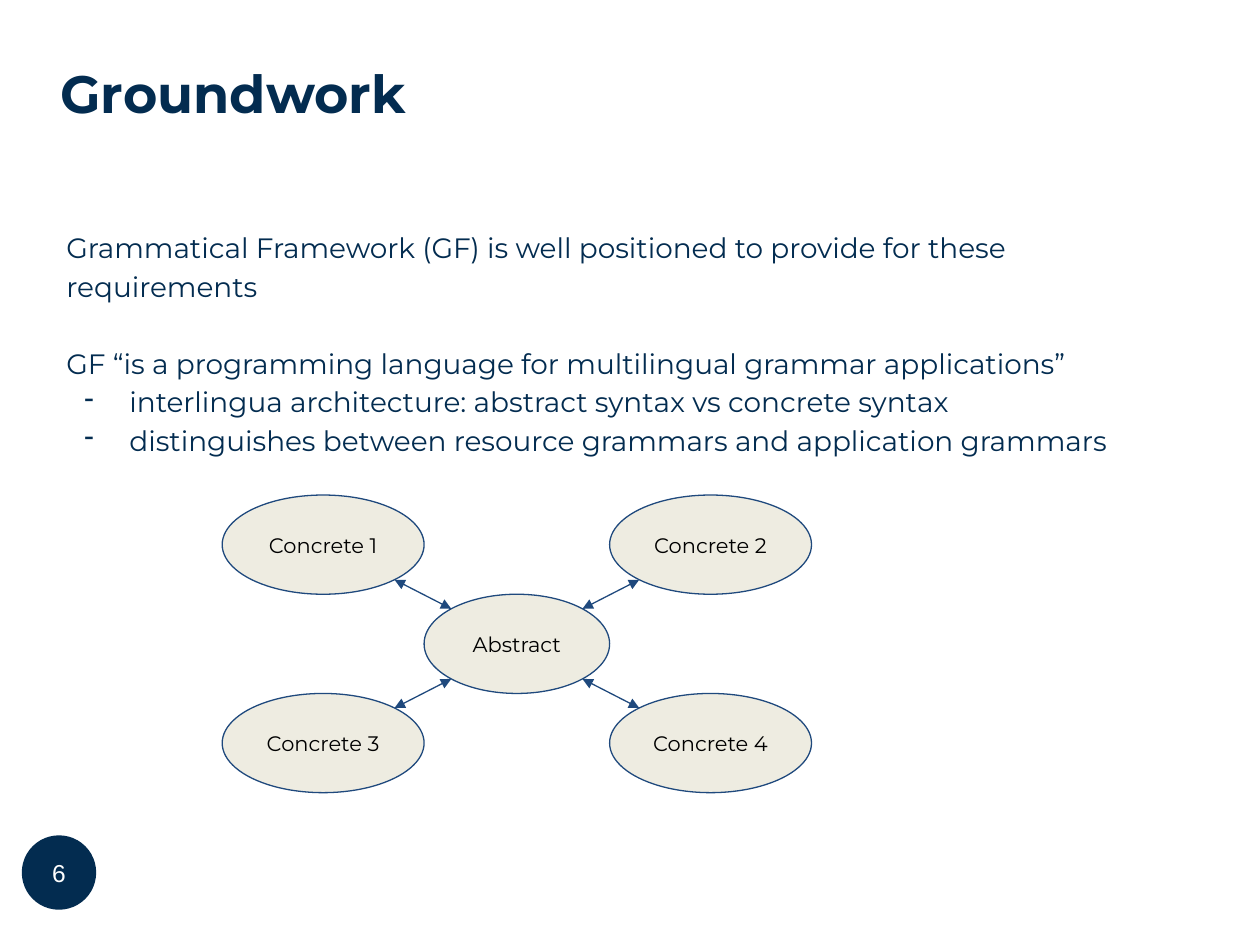
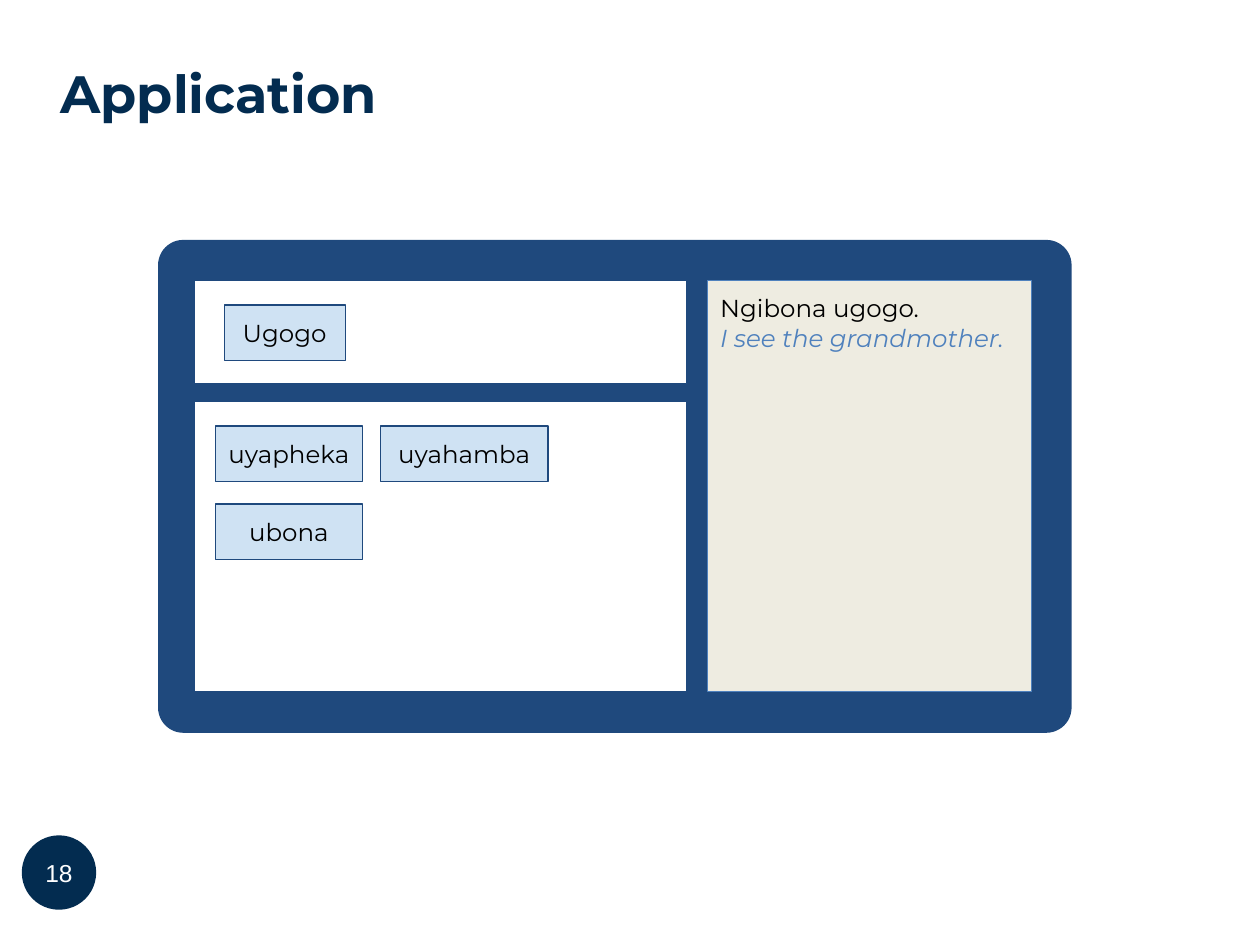
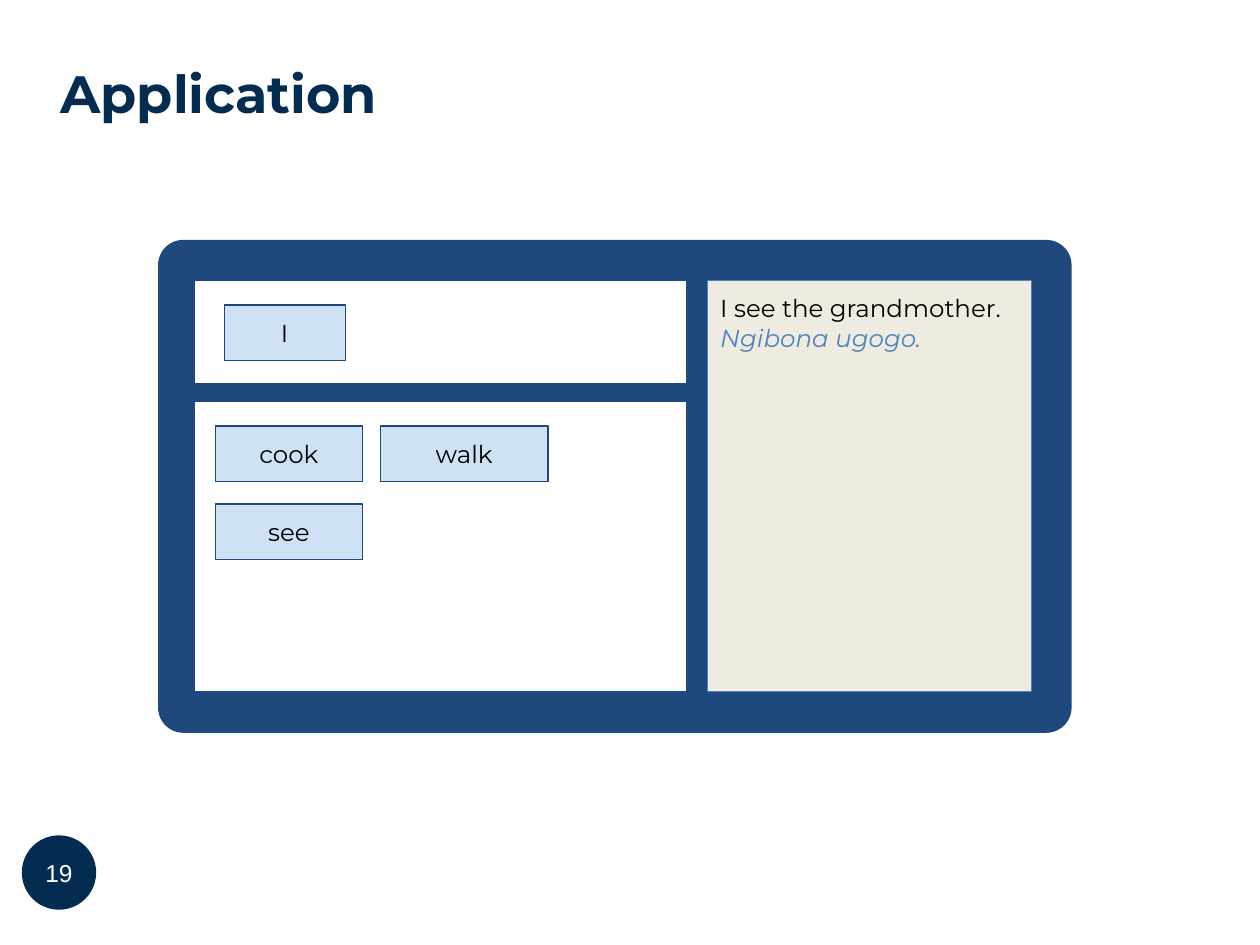
from math import sqrt

from lxml import etree
from pptx import Presentation
from pptx import util as u
from pptx.dml.color import RGBColor
from pptx.enum import shapes, text
from pptx.oxml.ns import qn

NAVY = RGBColor(0x03, 0x2C, 0x50)
BLUE = RGBColor(0x1F, 0x49, 0x7D)
ACCENT = RGBColor(0x4F, 0x81, 0xBD)
PALE_BLUE = RGBColor(0xCF, 0xE2, 0xF3)
CREAM = RGBColor(0xEE, 0xEC, 0xE1)
WHITE = RGBColor(0xFF, 0xFF, 0xFF)
BLACK = RGBColor(0, 0, 0)

OVAL = shapes.MSO_SHAPE.OVAL
RECTANGLE = shapes.MSO_SHAPE.RECTANGLE
CENTER = text.PP_ALIGN.CENTER
MIDDLE = text.MSO_ANCHOR.MIDDLE


def write(frame, words, size=14, font="Montserrat", color=BLACK, bold=False, italic=False,
          align=text.PP_ALIGN.LEFT, spacing=None, before=None, bullet=None):
    """Add one formatted paragraph, using the first one while it is empty."""
    para = frame.add_paragraph() if frame.text else frame.paragraphs[0]
    para.alignment = align
    if spacing:
        para.line_spacing = spacing
    if before:
        para.space_before = u.Pt(before)
    if bullet:
        props = para._p.get_or_add_pPr()
        props.set("marL", str(u.Cm(1.27)))
        props.set("indent", str(u.Cm(-0.91)))
        tint = etree.SubElement(props, qn("a:buClr"))
        etree.SubElement(tint, qn("a:srgbClr"), val=str(color))
        etree.SubElement(props, qn("a:buChar"), char=bullet)
    span = para.add_run()
    span.text = words
    span.font.name = font
    span.font.size = u.Pt(size)
    span.font.bold = bold
    span.font.italic = italic
    span.font.color.rgb = color


class Builder:
    """Holds the deck style and the current page; all lengths are in cm."""

    line_width = u.Pt(0.75)

    def __init__(self):
        self.deck = Presentation()
        self.deck.slide_width = u.Cm(25.4)
        self.deck.slide_height = u.Cm(19.05)
        self.page = None

    def start_page(self, title, number):
        self.page = self.deck.slides.add_slide(self.deck.slide_layouts[6])
        badge = self.shape(OVAL, 0.44, 16.84, 1.5, 1.5, NAVY, line=None, inset=(0.2, 0))
        write(badge, str(number), font="Arial", color=WHITE, align=CENTER)
        heading = self.text_box(0.97, 0.53, 22.86, 2.69, anchor=MIDDLE)
        write(heading, title, size=30, color=NAVY, bold=True)

    def set_frame(self, frame, anchor, inset):
        frame.word_wrap = True
        frame.vertical_anchor = anchor
        frame.margin_left = frame.margin_right = u.Cm(inset[0])
        frame.margin_top = frame.margin_bottom = u.Cm(inset[1])
        return frame

    def text_box(self, left, top, width, height, anchor=text.MSO_ANCHOR.TOP):
        box = self.page.shapes.add_textbox(u.Cm(left), u.Cm(top), u.Cm(width), u.Cm(height))
        return self.set_frame(box.text_frame, anchor, (0.25, 0.13))

    def shape(self, kind, left, top, width, height, fill, line=BLUE, anchor=MIDDLE,
              inset=(0.25, 0.25), corner=None):
        box = self.page.shapes.add_shape(kind, u.Cm(left), u.Cm(top), u.Cm(width), u.Cm(height))
        box.shadow.inherit = False
        box.fill.solid()
        box.fill.fore_color.rgb = fill
        if line is None:
            box.line.fill.background()
        else:
            box.line.color.rgb = line
            box.line.width = self.line_width
        if corner is not None:
            box.adjustments[0] = corner
        return self.set_frame(box.text_frame, anchor, inset)

    def label(self, kind, words, left, top, width, height, fill, size=14):
        frame = self.shape(kind, left, top, width, height, fill)
        write(frame, words, size=size, align=CENTER)

    def double_arrow(self, start, end):
        arrow = self.page.shapes.add_connector(
            shapes.MSO_CONNECTOR.STRAIGHT, *(u.Cm(value) for value in start + end))
        arrow.line.color.rgb = BLUE
        arrow.line.width = self.line_width
        for tag in ("a:headEnd", "a:tailEnd"):
            etree.SubElement(arrow.line._get_or_add_ln(), qn(tag), type="triangle")
        etree.SubElement(arrow._element.spPr, qn("a:effectLst"))


def groundwork(build):
    build.start_page("Groundwork", 6)
    body = build.text_box(1.09, 4.42, 23.14, 11.56)
    style = dict(size=16, color=NAVY, spacing=1.15)
    write(body, "Grammatical Framework (GF) is well positioned to provide for these requirements",
          **style)
    write(body, "GF “is a programming language for multilingual grammar applications”",
          before=22, **style)
    for point in ("interlingua architecture: abstract syntax vs concrete syntax",
                  "distinguishes between resource grammars and application grammars"):
        write(body, point, bullet="-", **style)

    # Abstract node in the middle, one concrete node off each corner
    middle_x, middle_y = 10.42, 12.98
    abstract_width, concrete_width, height = 3.74, 4.07, 2
    build.label(OVAL, "Abstract", middle_x - abstract_width / 2, middle_y - height / 2,
                abstract_width, height, CREAM, size=12)
    diagonal = sqrt(0.5) / 2
    corners = [(-1, -1), (1, -1), (-1, 1), (1, 1)]
    for number, (side_x, side_y) in enumerate(corners, 1):
        x = middle_x + side_x * (abstract_width + concrete_width) / 2
        y = middle_y + side_y * height
        build.label(OVAL, f"Concrete {number}", x - concrete_width / 2, y - height / 2,
                    concrete_width, height, CREAM, size=12)
        build.double_arrow(
            (middle_x + side_x * abstract_width * diagonal, middle_y + side_y * height * diagonal),
            (x - side_x * concrete_width * diagonal, y - side_y * height * diagonal))


def application(build, number, chosen, choices, sentence, translation):
    build.start_page("Application", number)
    # Screen with its two work areas
    build.shape(shapes.MSO_SHAPE.ROUNDED_RECTANGLE, 3.2, 4.85, 18.39, 9.91, BLUE, corner=0.05)
    for top, height in ((5.66, 2.08), (8.1, 5.84)):
        build.shape(RECTANGLE, 3.91, top, 9.93, height, WHITE)

    # Word tiles
    places = [(4.52, 6.15, 2.44), (4.34, 8.59, 2.97), (7.67, 8.59, 3.38), (4.34, 10.16, 2.97)]
    for word, (left, top, width) in zip([chosen, *choices], places):
        build.label(RECTANGLE, word, left, top, width, 1.12, PALE_BLUE)

    # Finished sentence and its translation
    result = build.shape(RECTANGLE, 14.27, 5.66, 6.53, 8.28, CREAM, line=ACCENT,
                         anchor=text.MSO_ANCHOR.TOP)
    write(result, sentence)
    write(result, translation, color=ACCENT, italic=True)


def main():
    build = Builder()
    groundwork(build)
    zulu, english = "Ngibona ugogo.", "I see the grandmother."
    application(build, 18, "Ugogo", ["uyapheka", "uyahamba", "ubona"], zulu, english)
    application(build, 19, "I", ["cook", "walk", "see"], english, zulu)
    build.deck.save("out.pptx")


if __name__ == "__main__":
    main()
